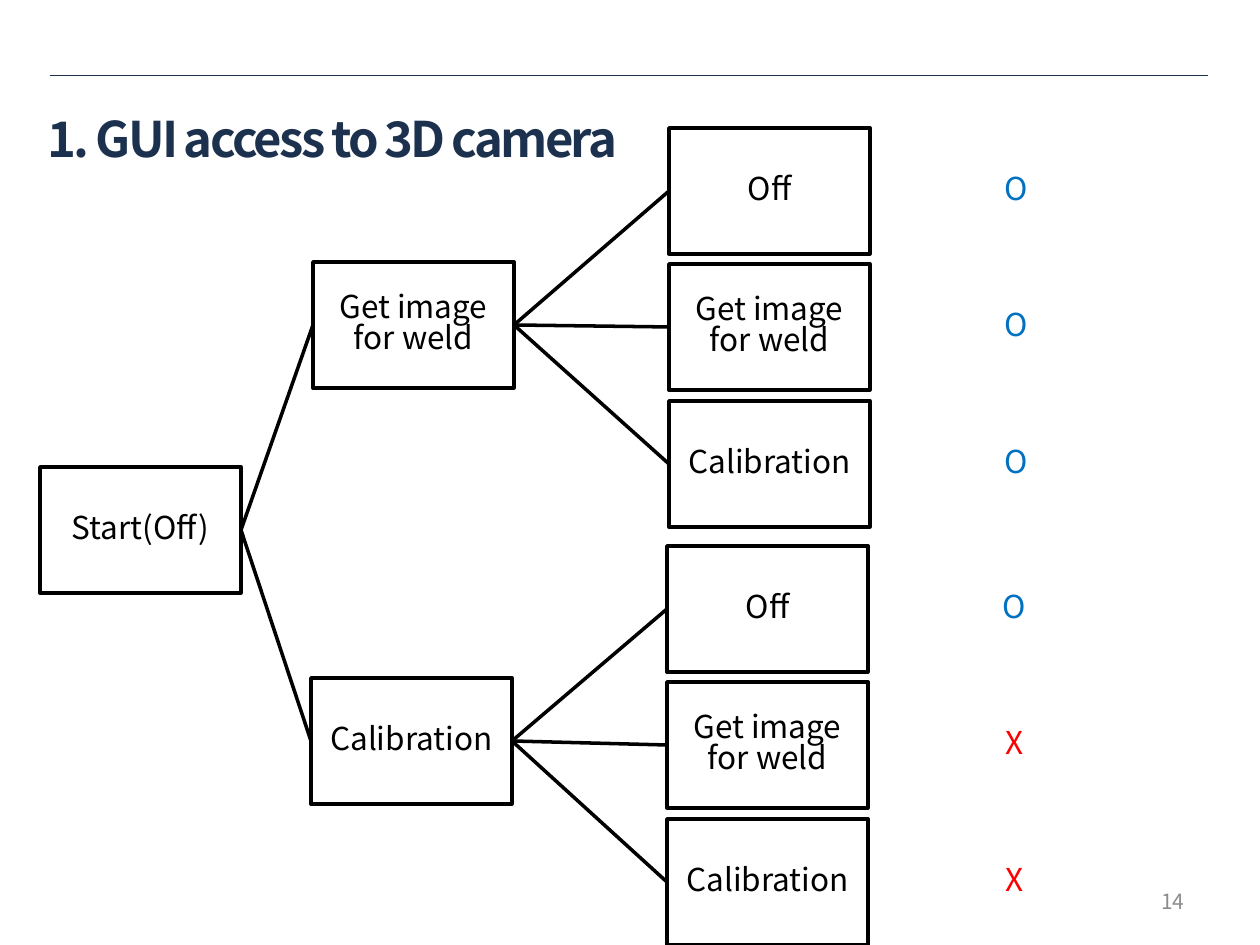
from pptx import Presentation
from pptx.dml.color import RGBColor
from pptx.enum.shapes import MSO_CONNECTOR as Conn, MSO_SHAPE as Shape
from pptx.enum.text import MSO_ANCHOR as Anchor, PP_ALIGN as Align
from pptx.oxml.ns import qn
from pptx.util import Pt
from lxml.etree import SubElement

TITLE = "1. GUI access to 3D camera"
PAGE = "14"
START = "Start(Off)"
# branch name, then its next states with whether each is allowed
TREE = [
    ("Get image for weld",
     [("Off", "O"), ("Get image for weld", "O"), ("Calibration", "O")]),
    ("Calibration",
     [("Off", "O"), ("Get image for weld", "X"), ("Calibration", "X")]),
]


class Theme:
    font = "Noto Sans CJK KR"
    navy, gray = "1C314E", "8C8C8C"
    black, white = "000000", "FFFFFF"
    mark = {"O": "0070C0", "X": "FF0000"}
    title, body, page = 28, 18, 12
    thin, thick = 0.25, 2
    leading = 0.8


EMU = 914400 / 126
BOX_W, BOX_H = 201, 126
START_AT = (40, 467)
BRANCH_AT = (313, 262)
LEAF_X, MARK_X = 669, 916
LEAF_TOPS = (128, 264, 401)
SHIFT_X, BRANCH_STEP, LEAF_STEP = -2, 416, 418
LEFT, RIGHT = 1, 3


def px(*vals):
    return [round(v * EMU) for v in vals]


def rgb(code):
    return RGBColor.from_string(code)


def write(shape, text, size, color, align, bold=False):
    frame = shape.text_frame
    frame.word_wrap = True
    frame.vertical_anchor = Anchor.MIDDLE
    para = frame.paragraphs[0]
    para.text = text
    para.alignment = align
    font = para.font
    font.name, font.size, font.bold = Theme.font, Pt(size), bold
    font.color.rgb = rgb(color)
    return para


def box(left, top, text, color=Theme.black, edge=True):
    shape = slide.shapes.add_shape(
        Shape.RECTANGLE, *px(left, top, BOX_W, BOX_H))
    shape.shadow.inherit = False
    shape.fill.solid()
    shape.fill.fore_color.rgb = rgb(Theme.white)
    if edge:
        shape.line.color.rgb = rgb(Theme.black)
        shape.line.width = Pt(Theme.thick)
    else:
        shape.line.fill.background()
    para = write(shape, text, Theme.body, color, Align.CENTER)
    para.line_spacing = Theme.leading
    return shape


def rule(ends, color, width):
    line = slide.shapes.add_connector(Conn.STRAIGHT, *px(*ends))
    line.line.color.rgb = rgb(color)
    line.line.width = Pt(width)
    SubElement(line._element.spPr, qn("a:effectLst"))
    return line


def link(a, b):
    line = rule((0, 0, 0, 0), Theme.black, Theme.thick)
    line.begin_connect(a, RIGHT)
    line.end_connect(b, LEFT)


deck = Presentation()
deck.slide_width, deck.slide_height = px(1260, 945)
slide = deck.slides.add_slide(deck.slide_layouts[5])

rule((50, 75, 1208, 75), Theme.navy, Theme.thin)

head = slide.shapes.title
head.left, head.top, head.width, head.height = px(35, 97, 964, 81)
para = write(head, TITLE, Theme.title, Theme.navy, Align.LEFT, bold=True)
para.runs[0].font._element.set("spc", "-150")

page = slide.shapes.add_textbox(*px(903, 876, 294, 50))
write(page, PAGE, Theme.page, Theme.gray, Align.RIGHT)

start = box(*START_AT, START)
for i, (name, leaves) in enumerate(TREE):
    dx = i * SHIFT_X
    left, top = BRANCH_AT
    branch = box(left + dx, top + i * BRANCH_STEP, name)
    link(start, branch)
    for top, (text, mark) in zip(LEAF_TOPS, leaves):
        top += i * LEAF_STEP
        link(branch, box(LEAF_X + dx, top, text))
        box(MARK_X + dx, top, mark, Theme.mark[mark], edge=False)

deck.save("out.pptx")
